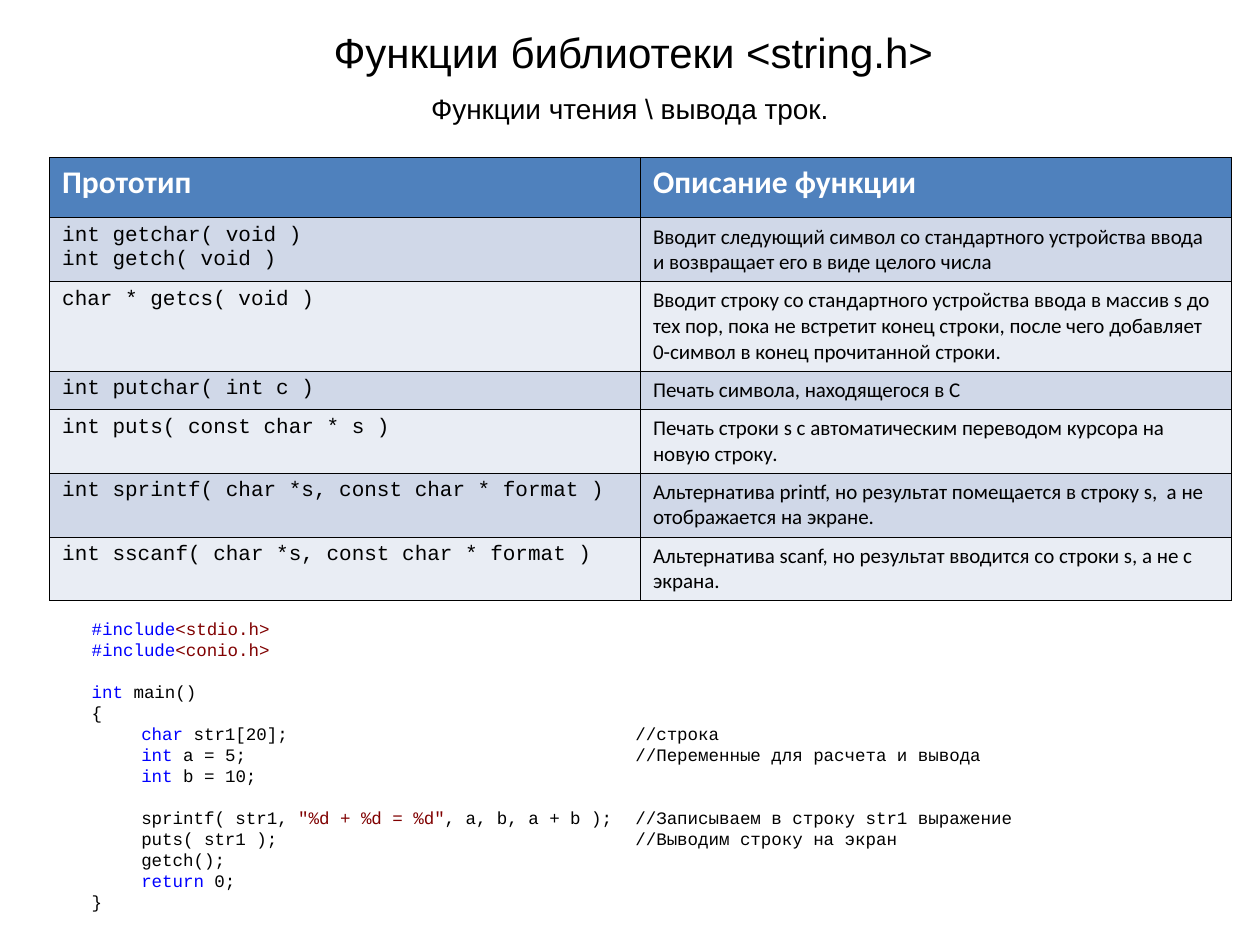
import pptx
import pptx.dml.color
import pptx.enum.text
import pptx.oxml
import pptx.oxml.ns
import pptx.util
from lxml import etree
from pptx.util import Cm, Pt

COLORS = {
    "text": "000000", "header_text": "FFFFFF", "keyword": "0000FF", "string": "800000",
    "header": "4F81BD", "band_dark": "D0D8E8", "band_light": "E9EDF4", "border": "000000",
}
SANS, BODY, MONO = "Arial", "Calibri", "Courier New"
ALIGN = pptx.enum.text.PP_ALIGN
ANCHOR = pptx.enum.text.MSO_ANCHOR

HEADINGS = ("Прототип", "Описание функции")
FUNCTIONS = [  # prototype, description, row height in cm
    ("int getchar( void )\nint getch( void )",
     "Вводит следующий символ со стандартного устройства ввода и возвращает его "
     "в виде целого числа", 1.28),
    ("char * getcs( void )",
     "Вводит строку со стандартного устройства ввода в массив s до тех пор, пока не встретит "
     "конец строки, после чего добавляет 0-символ в конец прочитанной строки.", 1.78),
    ("int putchar( int c )", "Печать символа, находящегося в С", 0.76),
    ("int puts( const char * s )",
     "Печать строки s с автоматическим переводом курсора на новую строку.", 1.28),
    ("int sprintf( char *s, const char * format )",
     "Альтернатива printf, но результат помещается в строку s,  а не отображается на экране.",
     1.28),
    ("int sscanf( char *s, const char * format )",
     "Альтернатива scanf, но результат вводится со строки s, а не с экрана.", 1.28),
]

# Each block is a list of lines, each line a list of (text, color) parts
CODE_BLOCKS = [
    [
        [("#include", "keyword"), ("<stdio.h>", "string")],
        [("#include", "keyword"), ("<conio.h>", "string")],
    ],
    [
        [("int", "keyword"), (" main()", "text")],
        [("{", "text")],
        [("\tchar", "keyword"), (" str1[20];\t//строка", "text")],
        [("\tint", "keyword"), (" a = 5;\t//Переменные для расчета и вывода", "text")],
        [("\tint", "keyword"), (" b = 10;", "text")],
    ],
    [
        [("\tsprintf( str1, ", "text"), ('"%d + %d = %d"', "string"),
         (", a, b, a + b );\t//Записываем в строку str1 выражение", "text")],
        [("\tputs( str1 );\t//Выводим строку на экран", "text")],
        [("\tgetch();", "text")],
        [("\treturn", "keyword"), (" 0;", "text")],
        [("}", "text")],
    ],
]


def rgb(name):
    return pptx.dml.color.RGBColor.from_string(COLORS[name])


def write(para, text, *, size, font, color="text", bold=False, align=ALIGN.LEFT):
    para.alignment = align
    span = para.add_run()
    span.text = text
    span.font.size = Pt(size)
    span.font.name = font
    span.font.bold = bold
    span.font.color.rgb = rgb(color)


class SlideWriter:
    code_size = 10
    code_line = Pt(12)
    code_tabs = (Cm(1), Cm(10.96))

    def __init__(self, deck):
        self.page = deck.slides.add_slide(deck.slide_layouts[5])

    def place(self, box, left, top, width, height):
        box.left, box.top, box.width, box.height = left, top, width, height
        frame = box.text_frame
        frame.word_wrap = True
        frame.auto_size = pptx.enum.text.MSO_AUTO_SIZE.NONE
        frame.vertical_anchor = ANCHOR.TOP
        return frame

    def title(self, text, *bounds):
        frame = self.place(self.page.shapes.title, *bounds)
        write(frame.paragraphs[0], text, size=24, font=SANS, align=ALIGN.CENTER)

    def subtitle(self, text, *bounds):
        frame = self.place(self.page.shapes.add_textbox(*bounds), *bounds)
        write(frame.paragraphs[0], text, size=16, font=SANS, align=ALIGN.CENTER)

    def cell(self, cell, text, fill, **style):
        properties = cell._tc.get_or_add_tcPr()
        for side in ("lnL", "lnR", "lnT", "lnB"):
            properties.append(pptx.oxml.parse_xml(
                f'<a:{side} {pptx.oxml.ns.nsdecls("a")} w="{Pt(0.45)}"><a:solidFill>'
                f'<a:srgbClr val="{COLORS["border"]}"/></a:solidFill></a:{side}>'))
        cell.fill.solid()
        cell.fill.fore_color.rgb = rgb(fill)
        frame = cell.text_frame
        for index, line in enumerate(text.split("\n")):
            para = frame.add_paragraph() if index else frame.paragraphs[0]
            write(para, line, **style)

    def table(self, headings, functions, left, top, width):
        heights = [Cm(1.22)] + [Cm(height) for *_, height in functions]
        grid = self.page.shapes.add_table(
            len(heights), len(headings), left, top, width, sum(heights)).table
        for row, height in zip(grid.rows, heights):
            row.height = height
        for column, heading in enumerate(headings):
            self.cell(grid.cell(0, column), heading, "header",
                      size=18, font=BODY, color="header_text", bold=True)
        for row, (prototype, description, _) in enumerate(functions, 1):
            fill = "band_dark" if row % 2 else "band_light"
            self.cell(grid.cell(row, 0), prototype, fill, size=12, font=MONO)
            self.cell(grid.cell(row, 1), description, fill, size=12, font=BODY)

    def code(self, blocks, *bounds):
        frame = self.place(self.page.shapes.add_textbox(*bounds), *bounds)
        frame.vertical_anchor = ANCHOR.MIDDLE
        para = None
        for block in blocks:
            for index, line in enumerate(block):
                starts_block = para is not None and index == 0
                para = frame.paragraphs[0] if para is None else frame.add_paragraph()
                para.line_spacing = self.code_line
                para.space_before = self.code_line if starts_block else Pt(0)
                for text, color in line:
                    write(para, text, size=self.code_size, font=MONO, color=color)
                self.tab_stops(para)

    def tab_stops(self, para):
        name = pptx.oxml.ns.qn
        stops = etree.SubElement(para._p.get_or_add_pPr(), name("a:tabLst"))
        for position in self.code_tabs:
            etree.SubElement(stops, name("a:tab"), pos=str(int(position)), algn="l")


def main():
    deck = pptx.Presentation()
    deck.slide_width, deck.slide_height = Cm(25.4), Cm(19.05)
    slide = SlideWriter(deck)

    # Headings
    slide.title("Функции библиотеки <string.h> ", Cm(0.58), Cm(0.41), Cm(24.61), Cm(1.27))
    slide.subtitle("Функции чтения \\ вывода трок.", Cm(0.3), Cm(1.73), Cm(24.8), Cm(0.94))

    # Function reference
    slide.table(HEADINGS, FUNCTIONS, Cm(1), Cm(3.17), Cm(23.82))

    # Example program
    slide.code(CODE_BLOCKS, Cm(1.6), Cm(12.32), Cm(22.8), Cm(6.2))

    deck.save("out.pptx")


if __name__ == "__main__":
    main()
